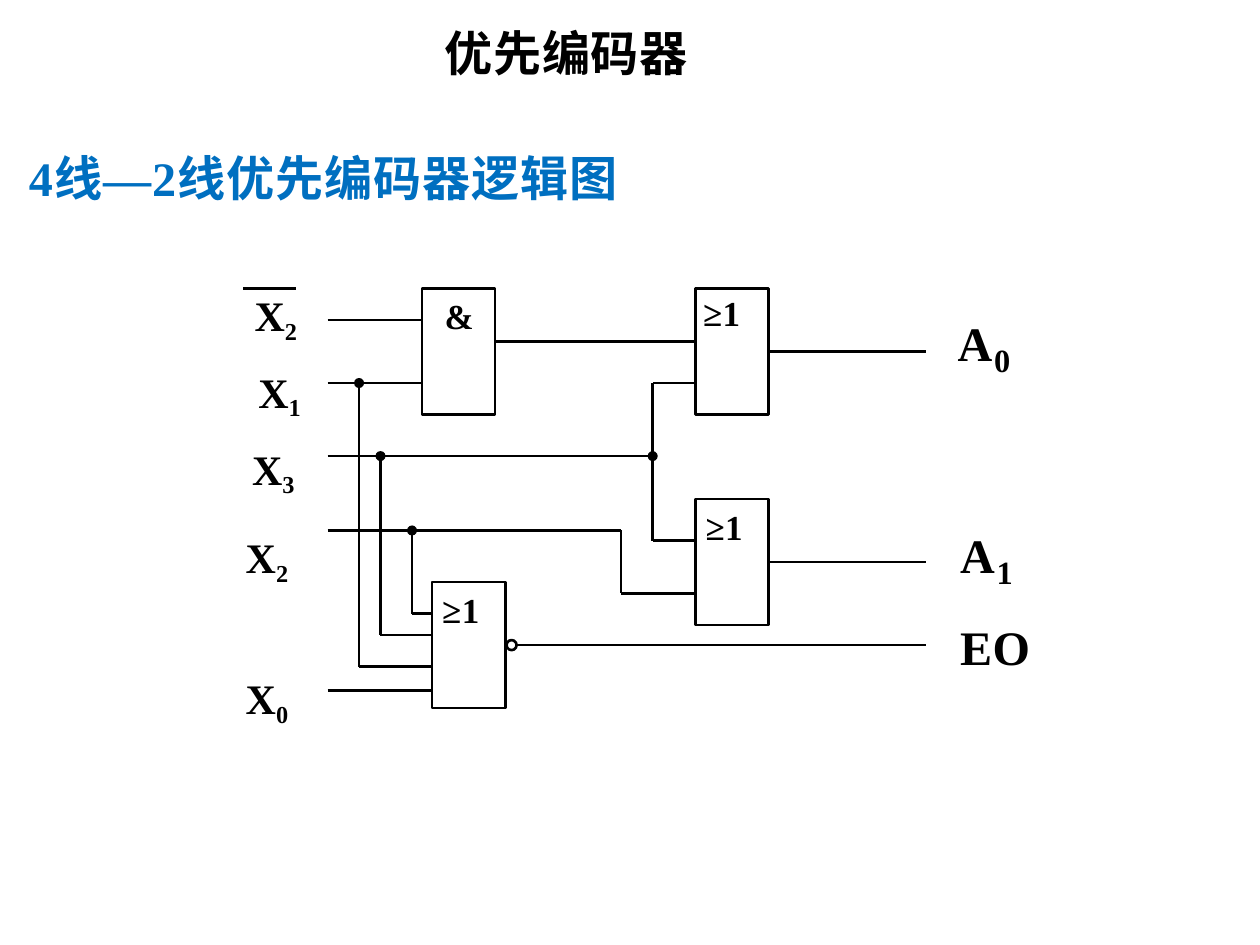
from itertools import pairwise

from lxml.etree import SubElement
from pptx import Presentation
from pptx.dml.color import RGBColor
from pptx.enum.shapes import MSO_CONNECTOR, MSO_SHAPE
from pptx.oxml.ns import qn
from pptx.util import Inches, Pt

ROMAN = "Times New Roman"
HAN = "Noto Sans CJK SC"
BLACK = "000000"


def color(code):
    """Turn a hex string into a colour."""
    return RGBColor.from_string(code)


def add_text(slide, x, y, w, h, runs, size=20, hue=BLACK, gap=0, lead=None, wrap=False):
    """Place bold text made of (words, font, baseline shift) runs."""
    frame = slide.shapes.add_textbox(Inches(x), Inches(y), Inches(w), Inches(h)).text_frame
    frame.margin_left = frame.margin_right = frame.margin_top = frame.margin_bottom = 0
    frame.word_wrap = wrap
    line = frame.paragraphs[0]
    if lead:
        line.line_spacing = Pt(lead)
    for words, face, shift in runs:
        run = line.add_run()
        run.text = words
        run.font.name = face
        run.font.size = Pt(size)
        run.font.bold = True
        run.font.color.rgb = color(hue)
        props = run._r.get_or_add_rPr()
        props.set("spc", str(round(gap * 100)))
        if shift:
            props.set("baseline", str(shift * 1000))
        SubElement(props, qn("a:ea")).set("typeface", face)


def add_wire(slide, x, y, points):
    """Join the points, offset from x and y, with straight lines."""
    for (ax, ay), (bx, by) in pairwise(points):
        wire = slide.shapes.add_connector(
            MSO_CONNECTOR.STRAIGHT,
            Inches(x + ax), Inches(y + ay), Inches(x + bx), Inches(y + by))
        wire.line.color.rgb = color(BLACK)
        wire.line.width = Pt(1.5)
        SubElement(wire._element.spPr, qn("a:effectLst"))


def add_form(slide, kind, x, y, w, h, fill=None, edge=True):
    """Place a black outline or a filled shape."""
    form = slide.shapes.add_shape(kind, Inches(x), Inches(y), Inches(w), Inches(h))
    form.shadow.inherit = False
    if fill:
        form.fill.solid()
        form.fill.fore_color.rgb = color(fill)
    else:
        form.fill.background()
    if edge:
        form.line.color.rgb = color(BLACK)
        form.line.width = Pt(1.5)
    else:
        form.line.fill.background()


def add_gate(slide, x, y, sign, dx, dy):
    """Draw one logic gate with its sign inside."""
    add_form(slide, MSO_SHAPE.RECTANGLE, x, y, 0.58, 1)
    add_text(slide, x + dx, y + dy, 0.33, 0.35, [(sign, ROMAN, 0)], gap=0.2)


def add_circuit(slide, x, y):
    """Draw gates, wires, joints and the output bubble."""
    gates = [(0.75, 0, "&", 0.18, 0.05), (2.92, 0, "≥1", 0.06, 0.02),
             (2.92, 1.67, "≥1", 0.08, 0.05), (0.83, 2.33, "≥1", 0.08, 0.05)]
    for left, top, sign, dx, dy in gates:
        add_gate(slide, x + left, y + top, sign, dx, dy)
    wires = [
        [(0, 0.25), (0.75, 0.25)],
        [(0, 0.75), (0.75, 0.75)],
        [(0, 1.33), (2.58, 1.33)],
        [(0, 1.92), (2.33, 1.92), (2.33, 2.42), (2.92, 2.42)],
        [(0, 3.19), (0.83, 3.19)],
        [(0.25, 0.75), (0.25, 3), (0.83, 3)],
        [(0.42, 1.33), (0.42, 2.75), (0.83, 2.75)],
        [(0.67, 1.92), (0.67, 2.58), (0.83, 2.58)],
        [(2.92, 0.75), (2.58, 0.75), (2.58, 2), (2.92, 2)],
        [(1.33, 0.42), (2.92, 0.42)],
        [(3.5, 0.5), (4.75, 0.5)],
        [(3.5, 2.17), (4.75, 2.17)],
        [(1.5, 2.83), (4.75, 2.83)],
    ]
    for points in wires:
        add_wire(slide, x, y, points)
    for left, top in [(0.25, 0.75), (0.42, 1.33), (0.67, 1.92), (2.58, 1.33)]:
        add_form(slide, MSO_SHAPE.OVAL, x + left - 0.04, y + top - 0.04,
                 0.08, 0.08, fill=BLACK, edge=False)
    add_form(slide, MSO_SHAPE.OVAL, x + 1.42, y + 2.79, 0.08, 0.08)


def add_inputs(slide, x, y):
    """Label the inputs, with a bar over the first."""
    add_wire(slide, x, y, [(0, 0), (0.42, 0)])
    marks = [(0.09, 0.01, "2"), (0.12, 0.62, "1"), (0.07, 1.23, "3"),
             (0.02, 1.93, "2"), (0.02, 3.05, "0")]
    for left, top, digit in marks:
        add_text(slide, x + left, y + top, 0.38, 0.46,
                 [("X", ROMAN, 0), (digit, ROMAN, -20)], size=24)


def add_outputs(slide, x, y):
    """Label the outputs."""
    for left, top, digit in [(0, 0, "0"), (0.02, 1.68, "1")]:
        add_text(slide, x + left, y + top, 0.31, 0.47, [("A", ROMAN, 0)], size=27.5, gap=0.1)
        add_text(slide, x + left + 0.29, y + top + 0.21, 0.16, 0.32,
                 [(digit, ROMAN, 0)], size=18.5, gap=0.1)
    add_text(slide, x + 0.02, y + 2.41, 0.59, 0.47, [("EO", ROMAN, 0)], size=27.5, gap=0.3)


def add_heads(slide, x, y):
    """Place the title and the blue heading."""
    add_text(slide, x + 3.32, y, 2.97, 0.45, [("优先编码器", HAN, 0)],
             size=27.5, gap=0.4, lead=32.4)
    add_text(slide, x + 0.02, y + 0.99, 4.73, 0.47,
             [("4", ROMAN, 0), ("线", HAN, 0), ("—2", ROMAN, 0), ("线优先编码器逻辑图", HAN, 0)],
             size=27.5, hue="006FC0", gap=0.6, wrap=True)


def main():
    """Build and save the slide."""
    deck = Presentation()
    deck.slide_width, deck.slide_height = Inches(10), Inches(7.5)
    slide = deck.slides.add_slide(deck.slide_layouts[6])
    add_heads(slide, 0.21, 0.19)
    add_circuit(slide, 2.6, 2.29)
    add_inputs(slide, 1.93, 2.29)
    add_outputs(slide, 7.6, 2.49)
    deck.save("out.pptx")


if __name__ == "__main__":
    main()
